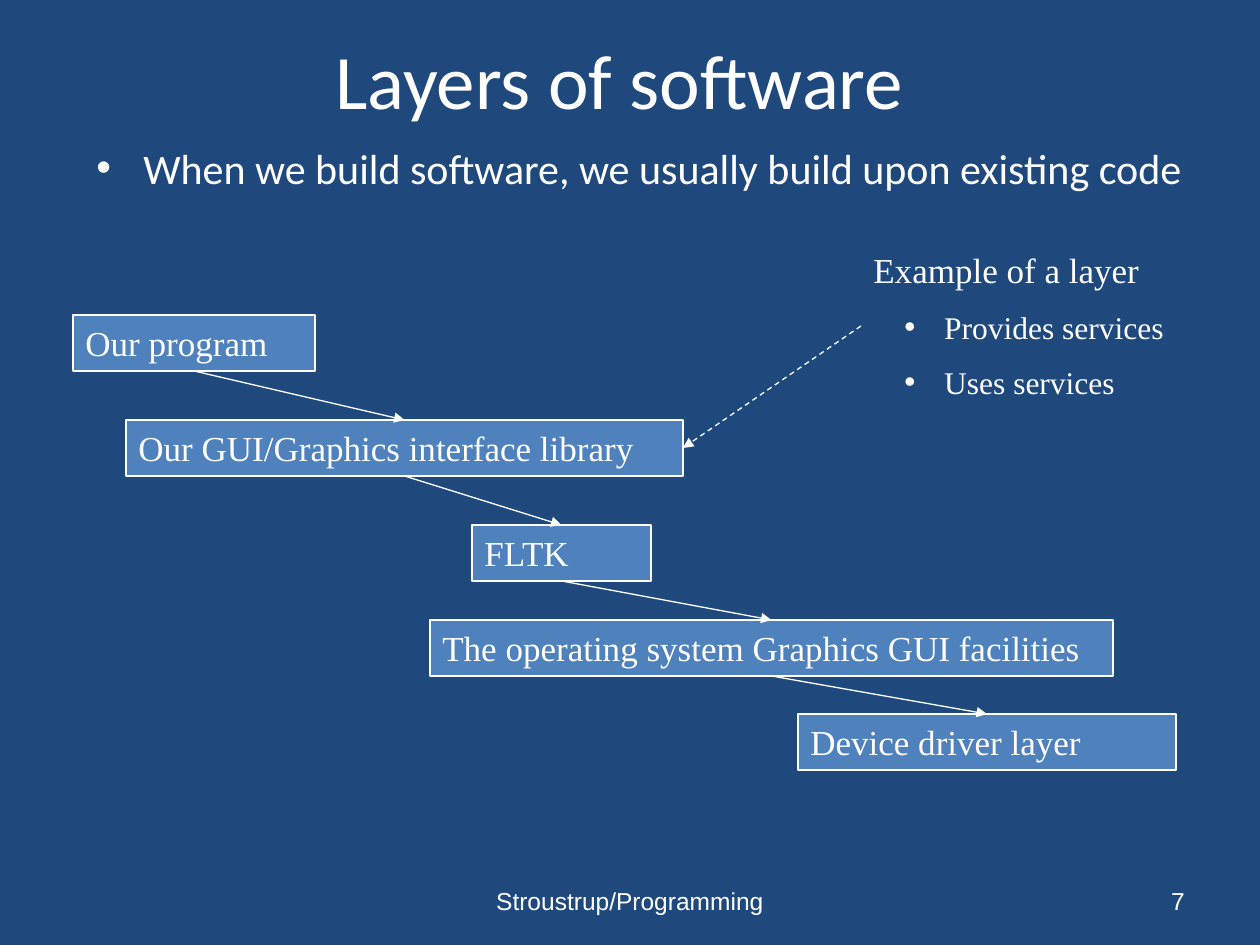
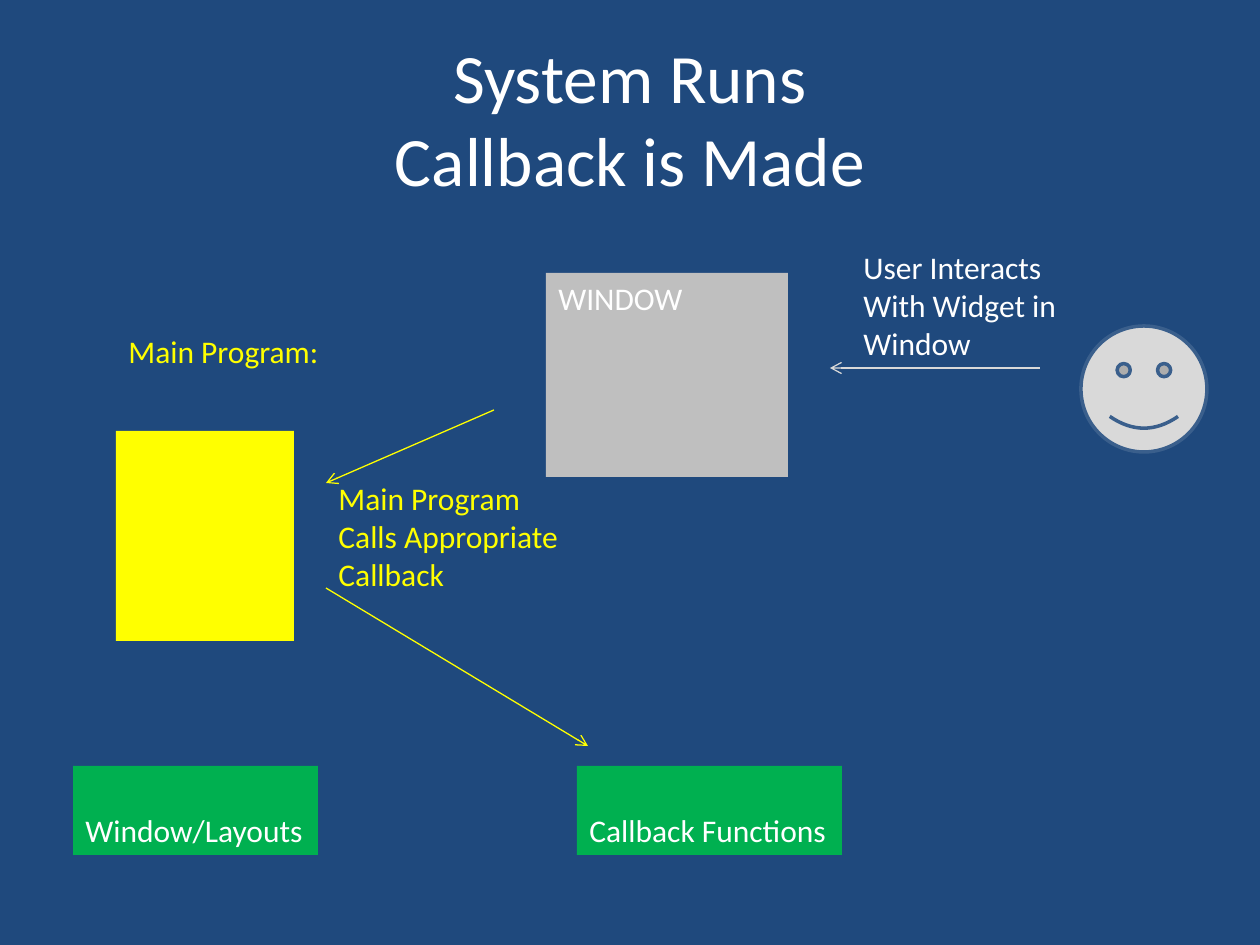
from itertools import pairwise

from lxml import etree
from pptx import Presentation
from pptx.dml.color import RGBColor
from pptx.enum.dml import MSO_LINE
from pptx.enum.shapes import MSO_CONNECTOR, MSO_SHAPE
from pptx.enum.text import MSO_ANCHOR, PP_ALIGN
from pptx.oxml.ns import qn
from pptx.util import Emu, Pt

SCALE = 914400 // 126
COLORS = {
    "navy": "1F497D",
    "white": "FFFFFF",
    "layer": "4F81BD",
    "yellow": "FFFF00",
    "green": "00B050",
    "window": "BFBFBF",
    "face": "D9D9D9",
    "outline": "3A5F8C",
}
SANS, SERIF, FOOTER = "Calibri", "Times New Roman", "Arial"
LEFT, CENTER, RIGHT = PP_ALIGN.LEFT, PP_ALIGN.CENTER, PP_ALIGN.RIGHT
TOP, MIDDLE, BOTTOM = MSO_ANCHOR.TOP, MSO_ANCHOR.MIDDLE, MSO_ANCHOR.BOTTOM
RECTANGLE, SMILEY = MSO_SHAPE.RECTANGLE, MSO_SHAPE.SMILEY_FACE
STRAIGHT, DASH = MSO_CONNECTOR.STRAIGHT, MSO_LINE.DASH
TOP_SITE, BOTTOM_SITE, RIGHT_SITE = 0, 2, 3

LAYERS = [
    ("Our program", 73, 315, 242),
    ("Our GUI/Graphics interface library", 126, 420, 557),
    ("FLTK", 472, 525, 179),
    ("The operating system Graphics GUI facilities", 430, 620, 683),
    ("Device driver layer", 798, 714, 378),
]
LAYER_HEIGHT = 56


def px(value):
    return Emu(value * SCALE)


def rgb(name):
    return RGBColor.from_string(COLORS[name])


def add_slide(deck):
    page = deck.slides.add_slide(deck.slide_layouts[6])
    page.background.fill.solid()
    page.background.fill.fore_color.rgb = rgb("navy")
    return page


def write(para, text, size, font=SANS, color="white", align=LEFT):
    para.alignment = align
    for number, line in enumerate(text.split("\n")):
        if number:
            para.add_line_break()
        span = para.add_run()
        span.text = line
        span.font.size = Pt(size)
        span.font.name = font
        span.font.color.rgb = rgb(color)


def add_bullet(para, margin, hanging):
    properties = para._p.get_or_add_pPr()
    properties.set("marL", str(px(margin)))
    properties.set("indent", str(-px(hanging)))
    etree.SubElement(properties, qn("a:buFont")).set("typeface", FOOTER)
    etree.SubElement(properties, qn("a:buChar")).set("char", "\u2022")


def add_text(page, bounds, lines, size, font=SANS, color="white",
             align=LEFT, anchor=TOP, wrap=True):
    box = page.shapes.add_textbox(*map(px, bounds))
    frame = box.text_frame
    frame.word_wrap = wrap
    frame.vertical_anchor = anchor
    for number, line in enumerate(lines):
        para = frame.add_paragraph() if number else frame.paragraphs[0]
        write(para, line, size, font, color, align)
    return frame


def add_title(page, bounds, text, size):
    add_text(page, bounds, [text], size, align=CENTER, anchor=MIDDLE)


def add_footer(page, left, width, text, align):
    add_text(page, (left, 876, width, 50), [text], 14, FOOTER,
             align=align, anchor=MIDDLE)


def add_box(page, bounds, fill, kind=RECTANGLE, line=None, width=0.75):
    box = page.shapes.add_shape(kind, *map(px, bounds))
    box.shadow.inherit = False
    box.fill.solid()
    box.fill.fore_color.rgb = rgb(fill)
    if line:
        box.line.color.rgb = rgb(line)
        box.line.width = Pt(width)
    else:
        box.line.fill.background()
    return box


def label(box, text, size, font=SANS, anchor=TOP, wrap=True):
    frame = box.text_frame
    frame.word_wrap = wrap
    frame.vertical_anchor = anchor
    write(frame.paragraphs[0], text, size, font)


def add_arrow(page, start, end, color, head, dash=None):
    arrow = page.shapes.add_connector(STRAIGHT, *map(px, start + end))
    arrow.line.color.rgb = rgb(color)
    arrow.line.width = Pt(0.75)
    if dash:
        arrow.line.dash_style = dash
    tail = etree.SubElement(arrow.line._get_or_add_ln(), qn("a:tailEnd"))
    tail.set("type", head)
    etree.SubElement(arrow._element.spPr, qn("a:effectLst"))
    return arrow


def build_layers(deck):
    page = add_slide(deck)
    add_title(page, (84, 0, 1071, 158), "Layers of software", 44)
    body = add_text(
        page, (84, 136, 1113, 105),
        ["When we build software, we usually build upon existing code"], 24)
    add_bullet(body.paragraphs[0], 47, 47)

    boxes = []
    for text, left, top, width in LAYERS:
        box = add_box(page, (left, top, width, LAYER_HEIGHT), "layer", line="white")
        label(box, text, 20, SERIF)
        boxes.append(box)
    for upper, lower in pairwise(boxes):
        arrow = add_arrow(page, (0, 0), (0, 0), "white", "triangle")
        arrow.begin_connect(upper, BOTTOM_SITE)
        arrow.end_connect(lower, TOP_SITE)

    example = add_text(page, (861, 242, 347, 169), ["Example of a layer"], 20, SERIF)
    for text in (" Provides services", " Uses services"):
        para = example.add_paragraph()
        para.level = 1
        para.space_before = Pt(10)
        write(para, text, 18, SERIF)
        add_bullet(para, 63, 32)
    pointer = add_arrow(page, (861, 326), (683, 448), "white", "triangle", DASH)
    pointer.end_connect(boxes[1], RIGHT_SITE)

    add_footer(page, 430, 400, "Stroustrup/Programming", CENTER)
    add_footer(page, 903, 294, "7", RIGHT)


def build_callback(deck):
    page = add_slide(deck)
    add_title(page, (63, 38, 1134, 158), "System Runs\nCallback is Made", 39.6)
    add_text(page, (116, 326, 218, 50), ["Main Program:"], 18,
             color="yellow", wrap=False)
    for text, left, width in (("Window/Layouts", 73, 245),
                              ("Callback Functions", 577, 265)):
        box = add_box(page, (left, 766, width, 89), "green")
        label(box, text, 18, anchor=BOTTOM, wrap=False)
    label(add_box(page, (546, 273, 242, 204), "window"), "WINDOW", 18)
    add_box(page, (1081, 326, 126, 126), "face", SMILEY, "outline", 2)
    add_text(page, (851, 242, 220, 127),
             ["User Interacts", "With Widget in", "Window"], 18, wrap=False)
    add_text(page, (326, 473, 247, 127),
             ["Main Program", "Calls Appropriate", "Callback"], 18,
             color="yellow", wrap=False)
    add_box(page, (116, 431, 178, 210), "yellow")
    for start, end, color in (((1040, 368), (830, 368), "face"),
                              ((494, 410), (326, 483), "yellow"),
                              ((326, 588), (588, 746), "yellow")):
        add_arrow(page, start, end, color, "arrow")


def main():
    deck = Presentation()
    deck.slide_width, deck.slide_height = px(1260), px(945)
    build_layers(deck)
    build_callback(deck)
    deck.save("out.pptx")


main()
